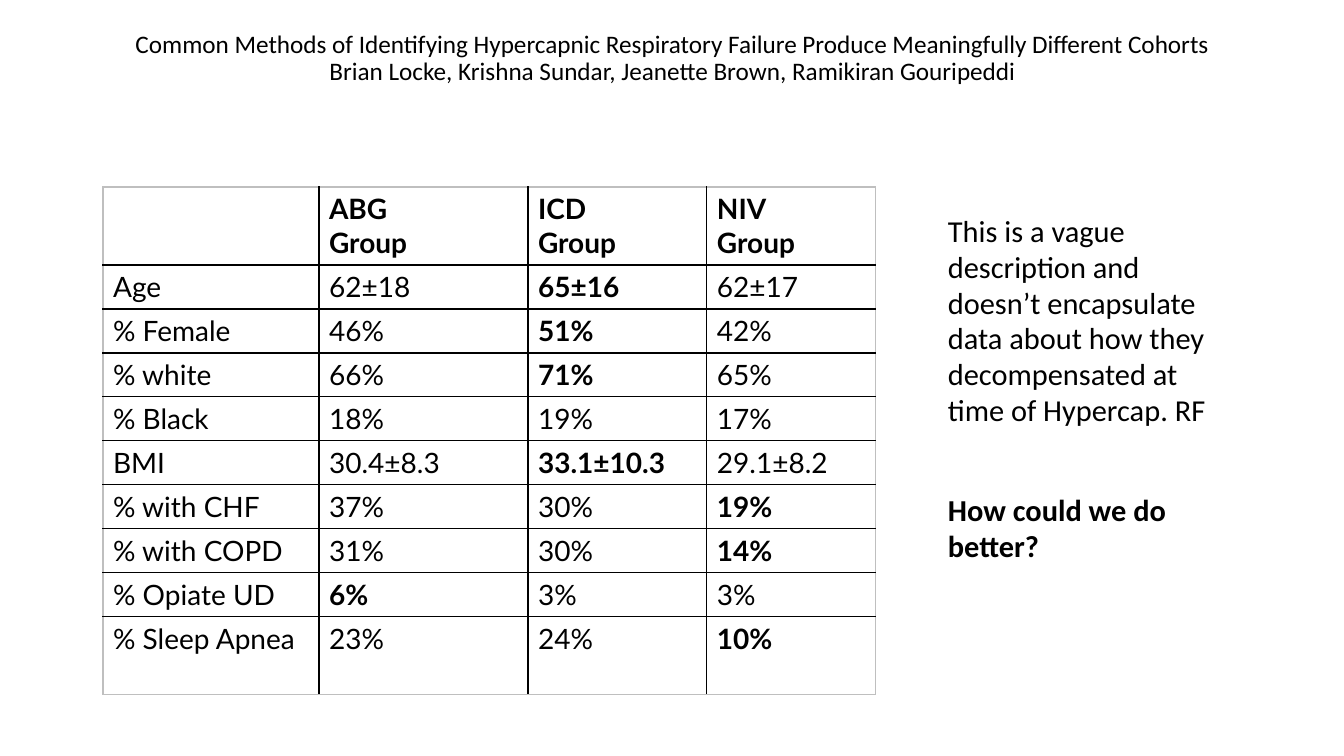
from lxml.etree import SubElement
from pptx import Presentation
from pptx.dml.color import RGBColor
from pptx.enum.text import MSO_ANCHOR, PP_ALIGN
from pptx.oxml.ns import qn
from pptx.util import Emu, Pt

COLORS = {"text": "000000", "inner": "000000", "outer": "BFBFBF"}
TITLE = (
    "Common Methods of Identifying Hypercapnic Respiratory Failure Produce Meaningfully Different Cohorts\v"
    "Brian Locke, Krishna Sundar, Jeanette Brown, Ramikiran Gouripeddi"
)
COMMENTS = [
    ("This is a vague description and doesn’t encapsulate data about how they "
     "decompensated at time of Hypercap. RF", False, 0),
    ("How could we do better?", True, 46),
]
HEADER = ["", "ABG\nGroup", "ICD\nGroup", "NIV\nGroup"]
MEASURES = [
    ("Age", "62±18", "65±16", "62±17"),
    ("% Female", "46%", "51%", "42%"),
    ("% white", "66%", "71%", "65%"),
    ("% Black", "18%", "19%", "17%"),
    ("BMI", "30.4±8.3", "33.1±10.3", "29.1±8.2"),
    ("% with CHF", "37%", "30%", "19%"),
    ("% with COPD", "31%", "30%", "14%"),
    ("% Opiate UD", "6%", "3%", "3%"),
    ("% Sleep Apnea", "23%", "24%", "10%"),
]
BOLD_COLUMN = {
    "Age": 2, "% Female": 2, "% white": 2, "BMI": 2,
    "% with CHF": 3, "% with COPD": 3, "% Opiate UD": 1, "% Sleep Apnea": 3,
}
COLUMN_WIDTHS = [216, 209, 179, 169]
ROW_HEIGHTS = [78] + [44] * 8 + [78]


def px(length):
    return Emu(round(length * 914400 / 100.8))


def style(paragraph, name, size, bold=False):
    font = paragraph.font
    font.name = name
    font.size = Pt(size)
    font.bold = bold
    font.color.rgb = RGBColor.from_string(COLORS["text"])


def add_text_box(slide, left, top, width, height):
    shape = slide.shapes.add_textbox(px(left), px(top), px(width), px(height))
    shape.text_frame.word_wrap = True
    return shape.text_frame


def add_borders(cell, outer_sides):
    properties = cell._tc.get_or_add_tcPr()
    for side in ("lnL", "lnR", "lnT", "lnB"):
        line = SubElement(properties, qn("a:" + side), w=str(Pt(1)))
        fill = SubElement(line, qn("a:solidFill"))
        color = COLORS["outer" if side in outer_sides else "inner"]
        SubElement(fill, qn("a:srgbClr"), val=color)


def add_cohort_table(slide):
    rows = [HEADER, *MEASURES]
    last_row, last_column = len(rows) - 1, len(HEADER) - 1
    table = slide.shapes.add_table(
        len(rows), len(HEADER), px(103), px(187),
        px(sum(COLUMN_WIDTHS)), px(sum(ROW_HEIGHTS))).table
    table.horz_banding = False
    for column, width in zip(table.columns, COLUMN_WIDTHS):
        column.width = px(width)
    for row, height in zip(table.rows, ROW_HEIGHTS):
        row.height = px(height)
    for i, values in enumerate(rows):
        for j, value in enumerate(values):
            cell = table.cell(i, j)
            cell.text = value
            for paragraph in cell.text_frame.paragraphs:
                style(paragraph, "Lato", 20, i == 0 or BOLD_COLUMN.get(values[0]) == j)
            edges = {"lnL": j == 0, "lnR": j == last_column, "lnT": i == 0, "lnB": i == last_row}
            add_borders(cell, [side for side, outer in edges.items() if outer])
            cell.fill.background()


def main():
    presentation = Presentation()
    presentation.slide_width, presentation.slide_height = px(1344), px(756)
    slide = presentation.slides.add_slide(presentation.slide_layouts[6])
    add_cohort_table(slide)

    title = add_text_box(slide, 93, 22, 1159, 74)
    title.vertical_anchor = MSO_ANCHOR.MIDDLE
    title.text = TITLE
    heading = title.paragraphs[0]
    heading.alignment = PP_ALIGN.CENTER
    heading.line_spacing = 0.9
    style(heading, "Calibri", 18)

    comments = add_text_box(slide, 938, 209, 301, 463)
    comments.text = "\n".join(text for text, _, _ in COMMENTS)
    for paragraph, (_, bold, space) in zip(comments.paragraphs, COMMENTS):
        paragraph.line_spacing = 0.98
        if space:
            paragraph.space_before = Pt(space)
        style(paragraph, "Calibri", 21.7, bold)

    presentation.save("out.pptx")


if __name__ == "__main__":
    main()
